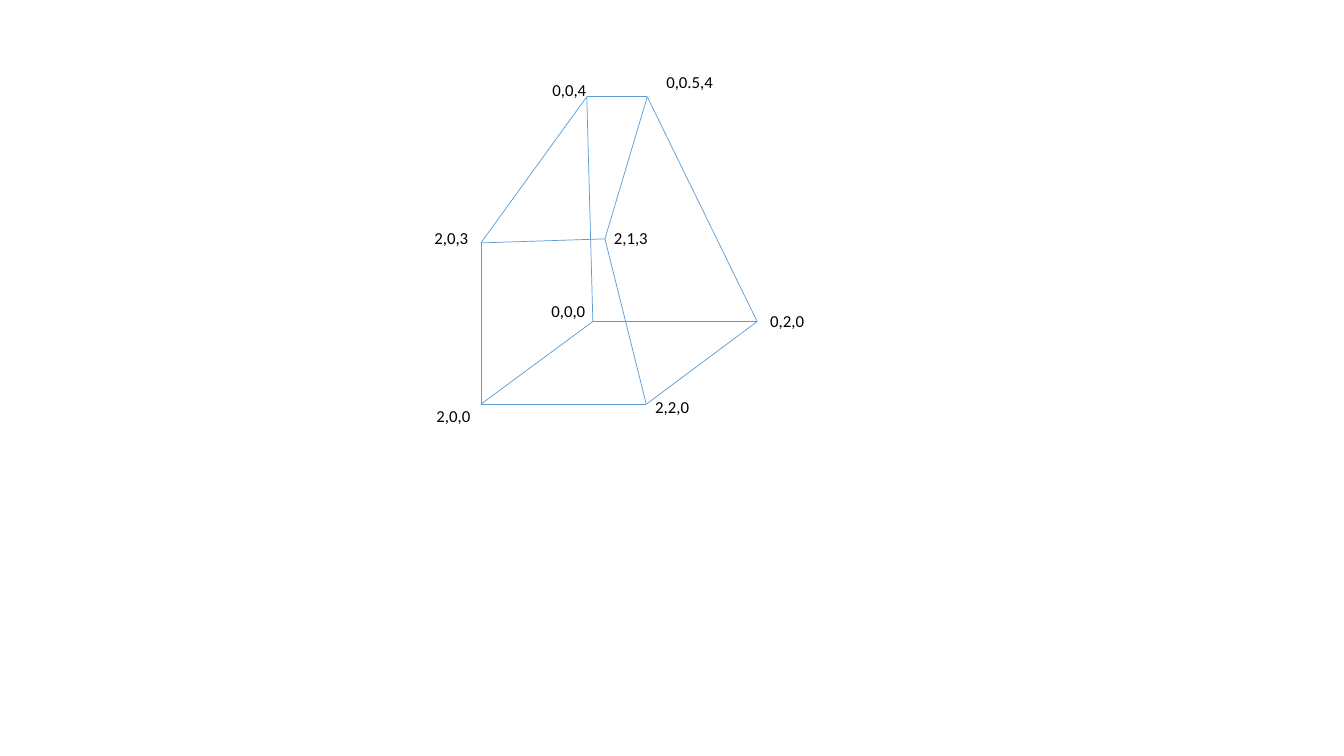
from pptx import Presentation
from pptx.dml.color import RGBColor
from pptx.enum.shapes import MSO_CONNECTOR
from pptx.enum.text import MSO_AUTO_SIZE
from pptx.oxml.ns import qn
from pptx.util import Inches, Pt
from lxml.etree import SubElement

# Vertex label: (corner position, label box position), in inches
VERTICES = {
    "0,0,0": ((5.88, 3.19), (5.37, 2.93)),
    "0,2,0": ((7.51, 3.19), (7.54, 3.03)),
    "2,2,0": ((6.41, 4.01), (6.40, 3.89)),
    "2,0,0": ((4.77, 4.01), (4.23, 3.98)),
    "2,0,3": ((4.77, 2.41), (4.21, 2.21)),
    "0,0.5,4": ((6.42, 0.96), (6.51, 0.66)),
    "0,0,4": ((5.82, 0.96), (5.38, 0.74)),
    "2,1,3": ((6.00, 2.37), (5.99, 2.21)),
}
BASE = ["2,0,0", "0,0,0", "0,2,0", "2,2,0"]
TOP = ["2,0,3", "0,0,4", "0,0.5,4", "2,1,3"]

THEME = {
    "line": RGBColor(0x5B, 0x9B, 0xD5),
    "line_width": Pt(0.5),
    "label": {"name": "Calibri", "size": Pt(12)},
    "label_color": RGBColor(0, 0, 0),
}
LABEL_SIZE = (0.82, 0.30)


def ring(corners):
    """Return the edges of a closed face."""
    return list(zip(corners, corners[1:] + corners[:1]))


def add_edge(s, start, end):
    """Draw the edge between two named vertices."""
    points = VERTICES[start][0] + VERTICES[end][0]
    edge = s.shapes.add_connector(MSO_CONNECTOR.STRAIGHT, *map(Inches, points))
    edge.line.color.rgb = THEME["line"]
    edge.line.width = THEME["line_width"]
    SubElement(edge._element.spPr, qn("a:effectLst"))


def add_label(s, text, position):
    """Write a vertex's coordinates in its label box."""
    tf = s.shapes.add_textbox(*map(Inches, position + LABEL_SIZE)).text_frame
    tf.word_wrap = True
    tf.auto_size = MSO_AUTO_SIZE.SHAPE_TO_FIT_TEXT
    r = tf.paragraphs[0].add_run()
    r.text = text
    for key, value in THEME["label"].items():
        setattr(r.font, key, value)
    r.font.color.rgb = THEME["label_color"]


prs = Presentation()
prs.slide_width, prs.slide_height = Inches(13.33), Inches(7.5)
s = prs.slides.add_slide(prs.slide_layouts[6])
for start, end in ring(BASE) + ring(TOP) + list(zip(BASE, TOP)):
    add_edge(s, start, end)
for text, (_, position) in VERTICES.items():
    add_label(s, text, position)
prs.save("out.pptx")
